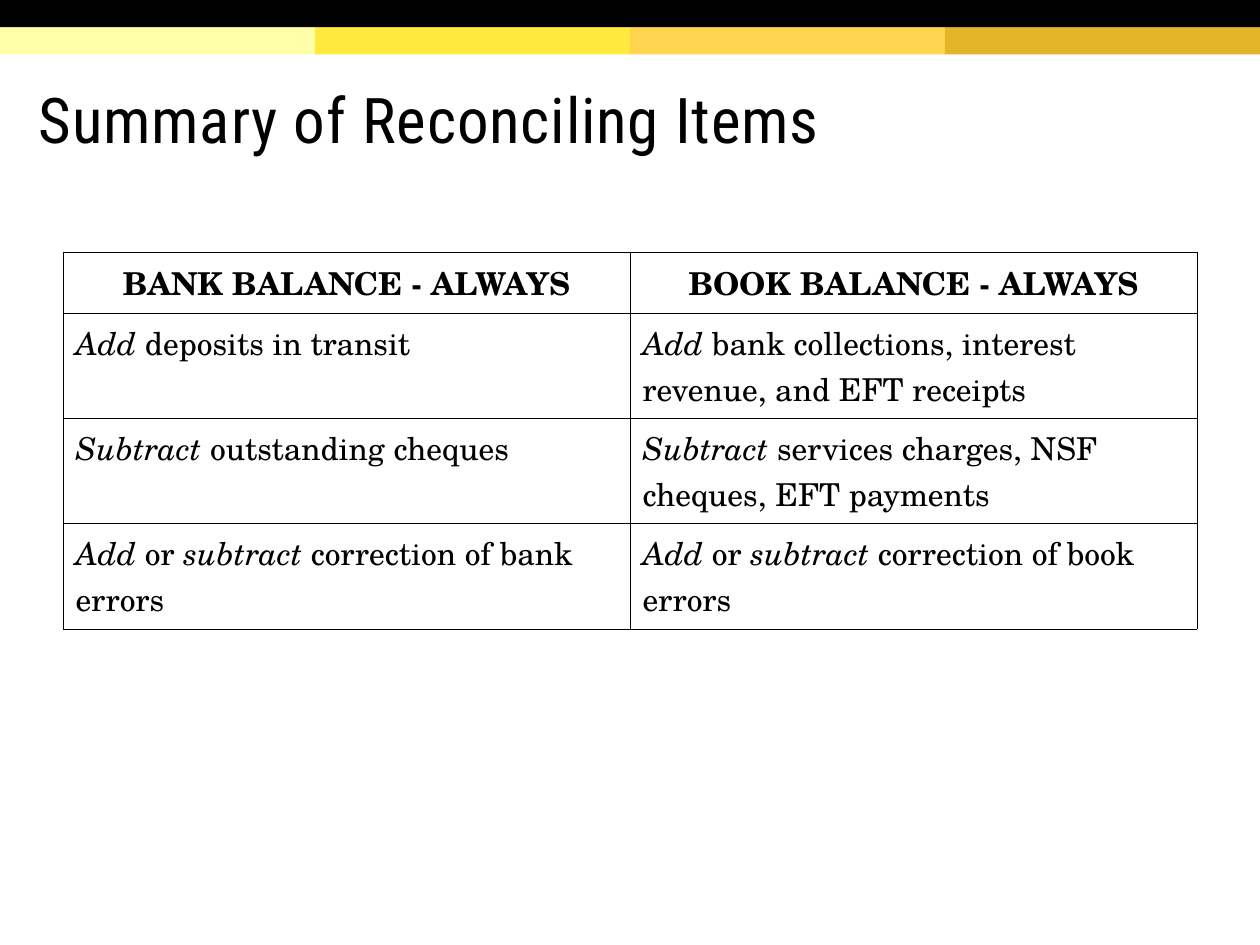
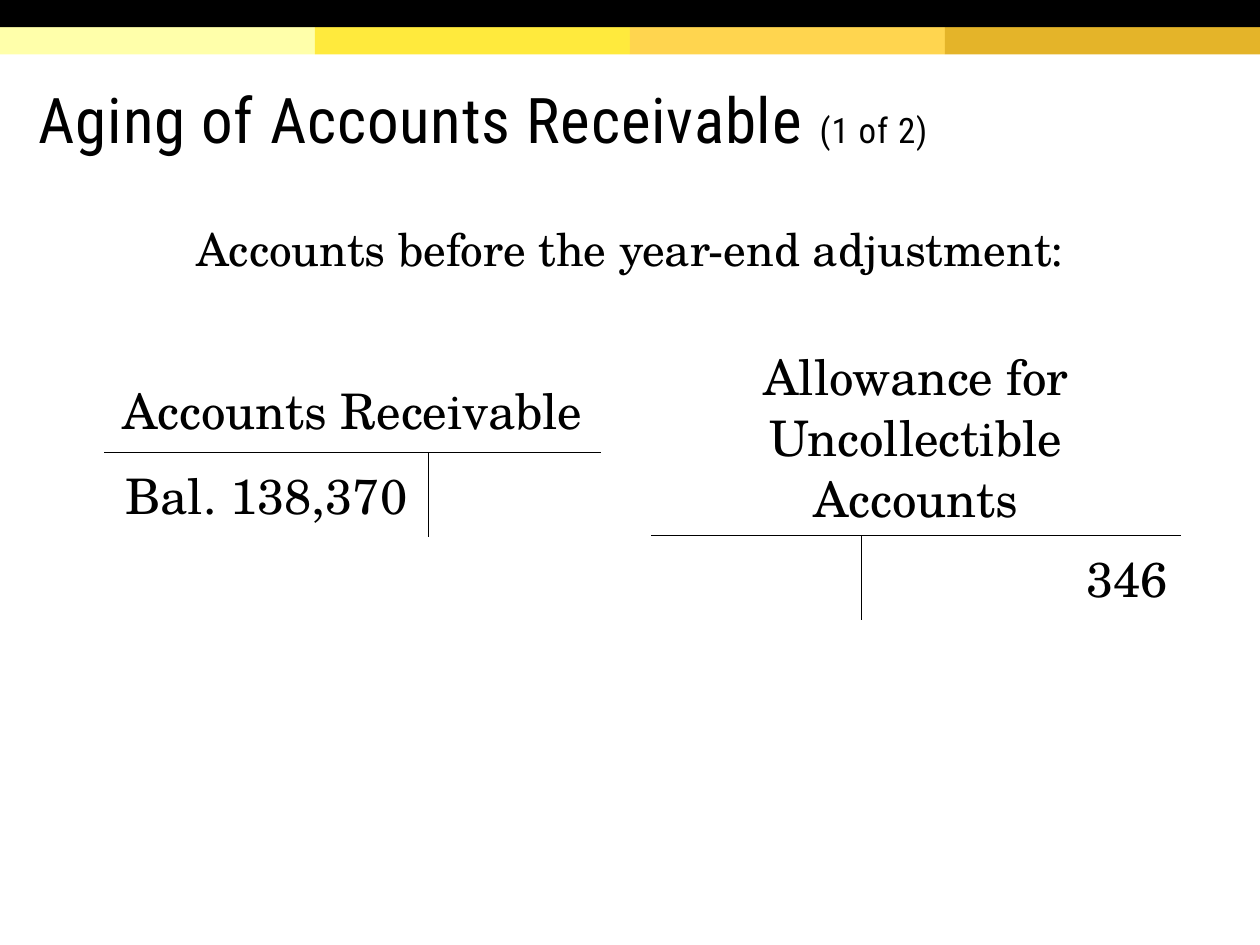
from dataclasses import dataclass, field
from typing import Any, NamedTuple

from lxml import etree
from pptx import Presentation
from pptx import util as u
from pptx.dml import color
from pptx.enum import shapes, text
from pptx.oxml import ns

ALIGN = text.PP_ALIGN


# Theme: colours, fonts and sizes
@dataclass(frozen=True)
class Theme:
    ink: str = "000000"
    band_colours: tuple[str, ...] = ("FFFFAA", "FFEA3D", "FFD54F", "E4B429")
    title_font: str = "Roboto Condensed"
    body_font: str = "TeX Gyre Schola"
    title_size: float = 36
    counter_size: float = 20
    lead_size: float = 25.9
    table_size: float = 18
    account_size: float = 28
    rule_width: float = 0.25
    plain_table_style: str = "{2D5ABB26-0587-4C30-8999-92F81FD0307C}"


THEME = Theme()
SLIDE_WIDTH, SLIDE_HEIGHT = 25.4, 19.05
BAND_HEIGHT = 0.55


class Box(NamedTuple):
    left: float
    top: float
    width: float
    height: float

    def lengths(self) -> list[u.Length]:
        return [u.Cm(value) for value in self]


class Run(NamedTuple):
    text: str
    format: dict[str, Any] = {}


@dataclass
class Line:
    runs: list[Run]
    format: dict[str, Any] = field(default_factory=dict)


@dataclass
class Cell:
    lines: list[Line] = field(default_factory=list)
    borders: str = "LRTB"


@dataclass
class Grid:
    left: float
    top: float
    columns: list[float]
    rows: list[float]
    cells: list[list[Cell]]
    size: float
    merged_heading: bool = False


TITLE_BOX = Box(0.53, 1.19, 24.1, 2.49)
LEAD_BOX = Box(1.27, 4.45, 22.86, 1.27)


# Text helpers
def set_attributes(target: Any, values: dict[str, Any]) -> None:
    for name, value in values.items():
        setattr(target, name, value)


def write_lines(frame: Any, lines: list[Line], font: str, size: float) -> None:
    for index, line in enumerate(lines):
        paragraph = frame.add_paragraph() if index else frame.paragraphs[0]
        set_attributes(paragraph, line.format)
        for part in line.runs:
            run = paragraph.add_run()
            run.text = part.text
            set_attributes(run.font, {"name": font, "size": u.Pt(size)} | part.format)
            run.font.color.rgb = color.RGBColor.from_string(THEME.ink)


def place(shape: Any, box: Box) -> None:
    set_attributes(shape, dict(zip(("left", "top", "width", "height"), box.lengths())))
    set_attributes(shape.text_frame, {"word_wrap": True, "auto_size": text.MSO_AUTO_SIZE.NONE})


def add_title(slide: Any, runs: list[Run]) -> None:
    title = slide.shapes.title
    place(title, TITLE_BOX)
    frame = title.text_frame
    inset = u.Cm(0.25)
    set_attributes(frame, {
        "vertical_anchor": text.MSO_ANCHOR.MIDDLE, "margin_left": inset,
        "margin_right": inset, "margin_top": inset, "margin_bottom": u.Cm(0.13)})
    line = Line(runs, {"alignment": ALIGN.LEFT, "line_spacing": 0.85})
    write_lines(frame, [line], THEME.title_font, THEME.title_size)
    for run in frame.paragraphs[0].runs:
        run.font._element.set("spc", "50")


def add_lead(slide: Any, words: str) -> None:
    body = slide.placeholders[1]
    place(body, LEAD_BOX)
    line = Line([Run(words)], {
        "alignment": ALIGN.CENTER, "line_spacing": 0.9,
        "space_before": u.Pt(8), "space_after": u.Pt(8)})
    write_lines(body.text_frame, [line], THEME.body_font, THEME.lead_size)
    properties = body.text_frame.paragraphs[0]._p.get_or_add_pPr()
    properties.set("marL", "0")
    properties.set("indent", "0")
    etree.SubElement(properties, ns.qn("a:buNone"))


# Bands shared by all slides, kept on the master behind everything else
def add_bands(presentation: Any, slide: Any) -> None:
    width = SLIDE_WIDTH / len(THEME.band_colours)
    bands = [(Box(index * width, BAND_HEIGHT, width, BAND_HEIGHT), colour)
             for index, colour in enumerate(THEME.band_colours)]
    bands.append((Box(0, 0, SLIDE_WIDTH, BAND_HEIGHT), THEME.ink))
    tree = presentation.slide_master.shapes.element
    for index, (box, colour) in enumerate(bands):
        shape = slide.shapes.add_shape(shapes.MSO_SHAPE.RECTANGLE, *box.lengths())
        shape.shadow.inherit = False
        shape.fill.solid()
        shape.fill.fore_color.rgb = color.RGBColor.from_string(colour)
        shape.line.fill.background()
        shape.name = f"Band {index + 1}"
        shape.element.nvSpPr.cNvPr.set("id", str(100 + index))
        tree.insert(2 + index, shape.element)


# Tables
def set_borders(cell: Any, sides: str) -> None:
    properties = cell._tc.get_or_add_tcPr()
    for index, side in enumerate("LRTB"):
        border = etree.Element(ns.qn(f"a:ln{side}"), w=str(u.Pt(THEME.rule_width)))
        if side in sides:
            fill = etree.SubElement(border, ns.qn("a:solidFill"))
            etree.SubElement(fill, ns.qn("a:srgbClr"), val=THEME.ink)
        else:
            etree.SubElement(border, ns.qn("a:noFill"))
        properties.insert(index, border)


def add_grid(slide: Any, grid: Grid) -> None:
    box = Box(grid.left, grid.top, sum(grid.columns), sum(grid.rows))
    frame = slide.shapes.add_table(len(grid.rows), len(grid.columns), *box.lengths())
    table = frame.table
    set_attributes(table, {"first_row": False, "horz_banding": False})
    table._tbl.tblPr.find(ns.qn("a:tableStyleId")).text = THEME.plain_table_style
    for column, width in zip(table.columns, grid.columns):
        column.width = u.Cm(width)
    for row, height in zip(table.rows, grid.rows):
        row.height = u.Cm(height)
    if grid.merged_heading:
        table.cell(0, 0).merge(table.cell(0, len(grid.columns) - 1))
    for row_index, row_cells in enumerate(grid.cells):
        for column_index, content in enumerate(row_cells):
            cell = table.cell(row_index, column_index)
            cell.fill.background()
            set_borders(cell, content.borders)
            write_lines(cell.text_frame, content.lines, THEME.body_font, grid.size)


def heading(words: str) -> Cell:
    return Cell([Line([Run(words, {"bold": True})], {"alignment": ALIGN.CENTER})])


def entry(*parts: str) -> Cell:
    """Parts alternate between italic and upright."""
    return Cell([Line([Run(part, {"italic": index % 2 == 0})
                       for index, part in enumerate(parts)])])


def t_account(left: float, top: float, columns: list[float], rows: list[float],
              name: list[str], debit: str = "", credit: str = "",
              spacing: float | None = None) -> Grid:
    def amount(words: str, alignment: Any, borders: str) -> Cell:
        lines = [Line([Run(words)], {"alignment": alignment})] if words else []
        return Cell(lines, borders)

    name_format = {"alignment": ALIGN.CENTER, "line_spacing": spacing}
    title = Cell([Line([Run(words)], name_format) for words in name], "B")
    cells = [[title, Cell(borders="B")],
             [amount(debit, ALIGN.CENTER, "TR"), amount(credit, ALIGN.RIGHT, "LT")]]
    return Grid(left, top, columns, rows, cells, THEME.account_size, True)


# Slides
def build_reconciling_items(slide: Any) -> None:
    add_title(slide, [Run("Summary of Reconciling Items")])
    cells = [
        [heading("BANK BALANCE - ALWAYS"), heading("BOOK BALANCE - ALWAYS")],
        [entry("Add", " deposits in transit"),
         entry("Add", " bank collections, interest revenue, and EFT receipts")],
        [entry("Subtract", " outstanding cheques"),
         entry("Subtract", " services charges, NSF cheques, EFT payments")],
        [entry("Add", " or ", "subtract", f" correction of {side} errors")
         for side in ("bank", "book")],
    ]
    add_grid(slide, Grid(1.27, 5.08, [11.43] * 2, [1.14] + [1.98] * 3, cells,
                         THEME.table_size))


def build_receivables_aging(slide: Any) -> None:
    add_title(slide, [Run("Aging of Accounts Receivable "),
                      Run("(1 of 2)", {"size": u.Pt(THEME.counter_size)})])
    add_lead(slide, "Accounts before the year-end adjustment:")
    add_grid(slide, t_account(2.1, 7.42, [6.53, 3.48], [1.55, 1.55],
                              ["Accounts Receivable"], debit="Bal. 138,370"))
    add_grid(slide, t_account(13.13, 6.86, [4.24, 6.43], [1.85, 1.17],
                              ["Allowance for", "Uncollectible Accounts"],
                              credit="346", spacing=0.85))


def main() -> None:
    presentation = Presentation()
    presentation.slide_width = u.Cm(SLIDE_WIDTH)
    presentation.slide_height = u.Cm(SLIDE_HEIGHT)
    layouts = presentation.slide_layouts
    summary = presentation.slides.add_slide(layouts.get_by_name("Title Only"))
    add_bands(presentation, summary)
    build_reconciling_items(summary)
    aging = presentation.slides.add_slide(layouts.get_by_name("Title and Content"))
    build_receivables_aging(aging)
    presentation.save("out.pptx")


if __name__ == "__main__":
    main()
